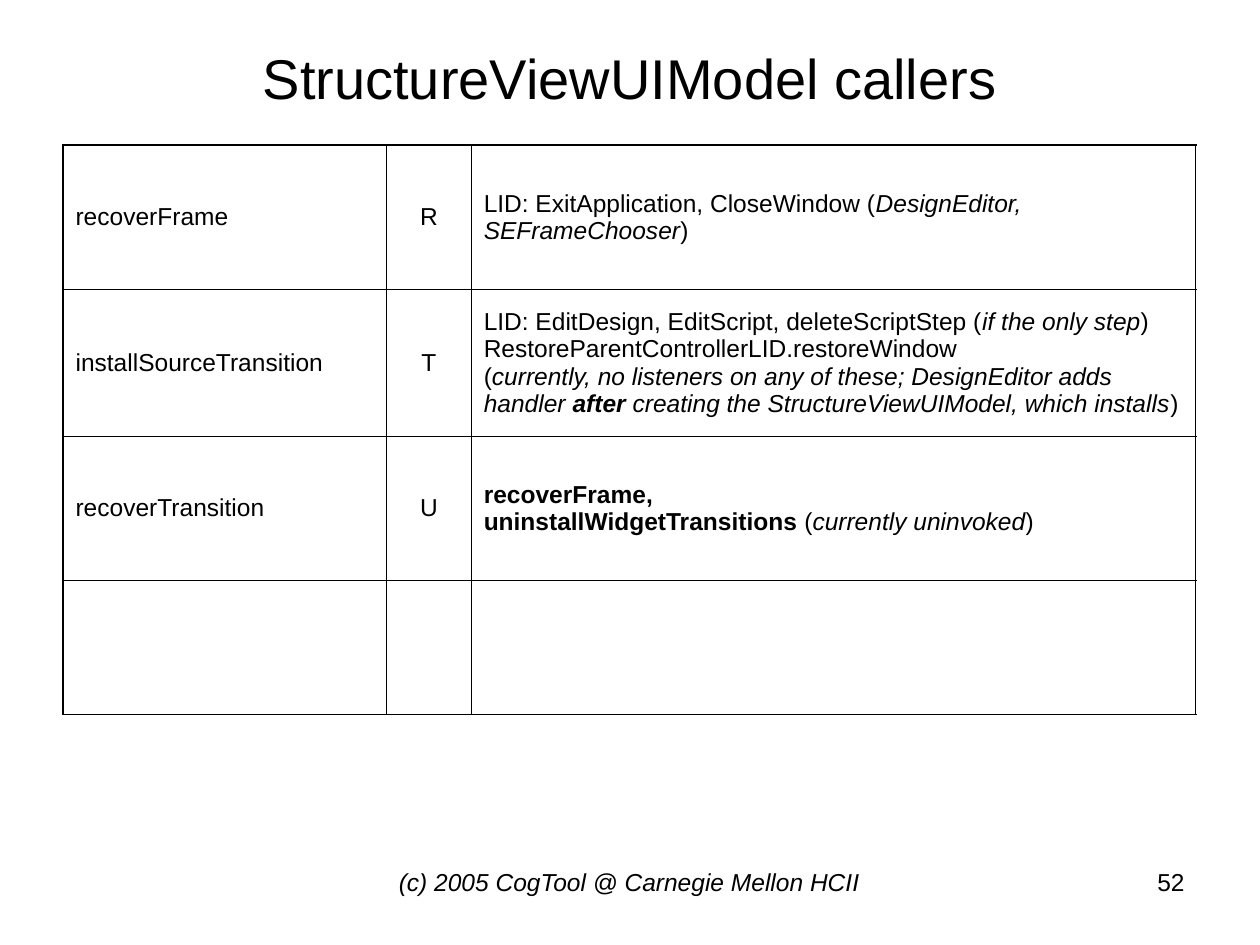
from lxml import etree
from pptx import Presentation
from pptx.dml.color import RGBColor
from pptx.enum import text as t
from pptx.oxml.ns import qn
from pptx.util import Inches, Pt

INK = "000000"
LEFT, MID, RIGHT = t.PP_ALIGN.LEFT, t.PP_ALIGN.CENTER, t.PP_ALIGN.RIGHT
TOP, HALF = t.MSO_ANCHOR.TOP, t.MSO_ANCHOR.MIDDLE

# Each run is (text, style): "b" is bold, "i" is italic.
BOXES = [
    ((0.5, 0.3, 9, 0.62), [("StructureViewUIModel callers", "")], 32, MID, HALF),
    ((2.83, 6.83, 4.33, 0.52),
     [("(c) 2005 CogTool @ Carnegie Mellon HCII", "i")], 14, MID, TOP),
    ((7.17, 6.83, 2.33, 0.52), [("52", "")], 14, RIGHT, TOP),
]
COLS = [2.57, 0.67, 5.75]
ROWS = [1.15, 1.16, 1.15, 1.06]
ALIGNS = [LEFT, MID, LEFT]
CALLS = [
    ("recoverFrame", "R", [
        ("LID: ExitApplication, CloseWindow (", ""),
        ("DesignEditor, SEFrameChooser", "i"), (")", "")]),
    ("installSourceTransition", "T", [
        ("LID: EditDesign, EditScript, deleteScriptStep (", ""),
        ("if the only step", "i"),
        (")\nRestoreParentControllerLID.restoreWindow\n(", ""),
        ("currently, no listeners on any of these; DesignEditor adds handler ", "i"),
        ("after", "bi"),
        (" creating the StructureViewUIModel, which installs", "i"), (")", "")]),
    ("recoverTransition", "U", [
        ("recoverFrame,\nuninstallWidgetTransitions ", "b"),
        ("(", ""), ("currently uninvoked", "i"), (")", "")]),
    ("", "", []),
]


def color(code):
    return RGBColor.from_string(code)


def style(font, **form):
    for key, val in form.items():
        setattr(font, key, val)
    font.color.rgb = color(INK)


def write(frame, runs, size, align):
    """Fill the first paragraph, turning newlines into line breaks."""
    para = frame.paragraphs[0]
    para.alignment = align
    style(para.font, name="Arial", size=Pt(size))
    for words, kind in runs:
        for num, line in enumerate(words.split("\n")):
            if num:
                para.add_line_break()
            run = para.add_run()
            run.text = line
            style(run.font, name="Arial", size=Pt(size),
                  bold="b" in kind, italic="i" in kind)


def edge(cell, side, width):
    props = cell._tc.get_or_add_tcPr()
    line = etree.SubElement(props, qn("a:ln" + side), w=str(Pt(width)))
    fill = etree.SubElement(line, qn("a:solidFill"))
    etree.SubElement(fill, qn("a:srgbClr"), val=INK)


prs = Presentation()
prs.slide_width, prs.slide_height = Inches(10), Inches(7.5)
slide = prs.slides.add_slide(prs.slide_layouts[6])

for place, runs, size, align, anchor in BOXES:
    frame = slide.shapes.add_textbox(*map(Inches, place)).text_frame
    frame.word_wrap = True
    frame.vertical_anchor = anchor
    write(frame, runs, size, align)

grid = slide.shapes.add_table(
    len(ROWS), len(COLS), Inches(0.5), Inches(1.15),
    Inches(sum(COLS)), Inches(sum(ROWS))).table
grid.first_row = grid.horz_banding = False
for col, width in zip(grid.columns, COLS):
    col.width = Inches(width)
for row, height in zip(grid.rows, ROWS):
    row.height = Inches(height)

for r, (name, code, callers) in enumerate(CALLS):
    for c, runs in enumerate([[(name, "")], [(code, "")], callers]):
        cell = grid.cell(r, c)
        cell.vertical_anchor = HALF
        outer = {"L": c == 0, "R": c == len(COLS) - 1,
                 "T": r == 0, "B": r == len(ROWS) - 1}
        for side, rim in outer.items():
            edge(cell, side, 1.08 if rim else 0.45)
        cell.fill.background()
        write(cell.text_frame, runs, 14, ALIGNS[c])

prs.save("out.pptx")
